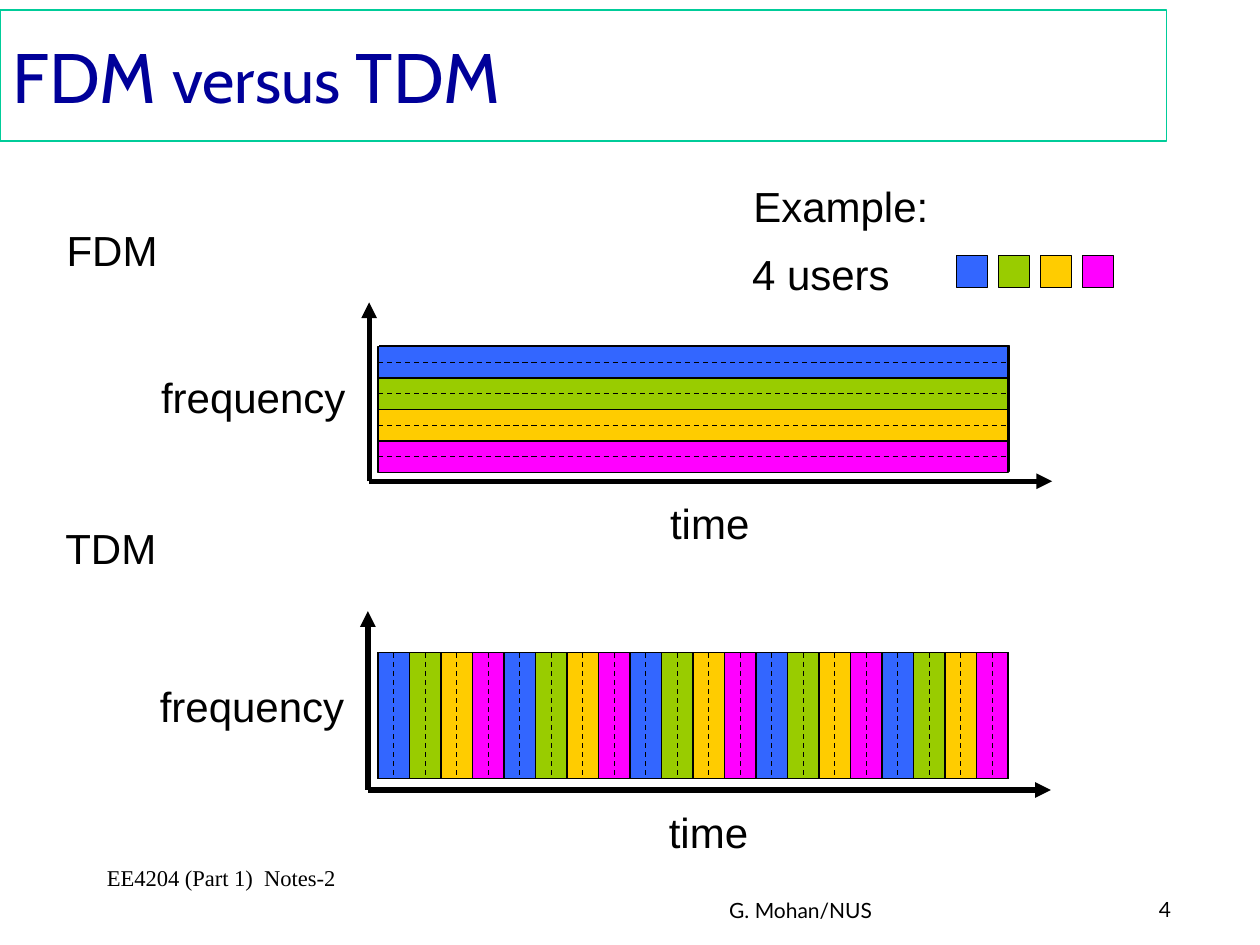
from dataclasses import dataclass

from lxml import etree
from pptx import Presentation
from pptx import util as u
from pptx.dml import color
from pptx.enum import dml, shapes, text
from pptx.oxml import ns


@dataclass(frozen=True)
class Theme:
    ink: str = "000000"
    title: str = "000099"
    frame: str = "00CC99"
    users: tuple = ("3366FF", "99CC00", "FFCC00", "FF00FF")
    title_size: float = 40
    small_title_size: float = 36
    label_size: float = 24
    course_size: float = 12.9
    footer_size: float = 12
    thin: float = 0.75
    thick: float = 3


THEME = Theme()
BAND = 0.25
PLOT_LEFT, PLOT_WIDTH, PLOT_HEIGHT = 3, 5, 1


def rgb(value):
    return color.RGBColor.from_string(value)


def add_title(slide, parts):
    title = slide.shapes.title
    title.left, title.top = u.Inches(0), u.Inches(0.08)
    title.width, title.height = u.Inches(9.26), u.Inches(1.04)
    title.line.color.rgb = rgb(THEME.frame)
    title.line.width = u.Pt(THEME.thin)
    frame = title.text_frame
    frame.vertical_anchor = text.MSO_ANCHOR.MIDDLE
    para = frame.paragraphs[0]
    para.alignment = text.PP_ALIGN.LEFT
    para.font.name = "Cabin"
    para.font.color.rgb = rgb(THEME.title)
    for words, size in parts:
        span = para.add_run()
        span.text = words
        span.font.size = u.Pt(size)


def add_text(slide, words, left, top, width, height, font, size):
    box = slide.shapes.add_textbox(*map(u.Inches, (left, top, width, height)))
    box.text_frame.word_wrap = True
    para = box.text_frame.paragraphs[0]
    para.text = words
    para.font.name = font
    para.font.size = u.Pt(size)
    para.font.color.rgb = rgb(THEME.ink)
    return box


def add_label(slide, words, left, top, width):
    box = add_text(slide, words, left, top, width, 0.5, "Arial", THEME.label_size)
    box.text_frame.word_wrap = False
    box.text_frame.auto_size = text.MSO_AUTO_SIZE.SHAPE_TO_FIT_TEXT


def add_block(slide, left, top, width, height, fill):
    block = slide.shapes.add_shape(
        shapes.MSO_SHAPE.RECTANGLE, *map(u.Inches, (left, top, width, height)))
    block.shadow.inherit = False
    block.fill.solid()
    block.fill.fore_color.rgb = rgb(fill)
    block.line.color.rgb = rgb(THEME.ink)
    block.line.width = u.Pt(THEME.thin)


def add_line(slide, start, end, width=THEME.thin, dashed=False, arrow=False):
    line = slide.shapes.add_connector(
        shapes.MSO_CONNECTOR.STRAIGHT, *map(u.Inches, (*start, *end)))
    line.line.color.rgb = rgb(THEME.ink)
    line.line.width = u.Pt(width)
    if dashed:
        line.line.dash_style = dml.MSO_LINE.DASH
    if arrow:
        outline = line.line._get_or_add_ln()
        etree.SubElement(outline, ns.qn("a:tailEnd"), type="triangle")
    etree.SubElement(line._element.spPr, ns.qn("a:effectLst"))


def add_axes(slide, left, base):
    add_line(slide, (left, base), (left, base - 1.42), THEME.thick, arrow=True)
    add_label(slide, "frequency", left - 1.75, base - 0.92, 1.7)
    add_line(slide, (left, base), (left + 5.42, base), THEME.thick, arrow=True)
    add_label(slide, "time", left + 2.29, base + 0.08, 0.83)


def add_fdm_bands(slide, top):
    right = PLOT_LEFT + PLOT_WIDTH
    for index, fill in enumerate(THEME.users):
        add_block(slide, PLOT_LEFT, top + index * BAND, PLOT_WIDTH, BAND, fill)
    for index in range(len(THEME.users)):
        y = top + index * BAND
        if index:
            add_line(slide, (PLOT_LEFT, y), (right, y))
        middle = y + BAND / 2
        add_line(slide, (PLOT_LEFT, middle), (right, middle), dashed=True)


def add_tdm_slots(slide, top):
    bottom = top + PLOT_HEIGHT
    slots = int(PLOT_WIDTH / BAND)
    for index in range(slots):
        fill = THEME.users[index % len(THEME.users)]
        add_block(slide, PLOT_LEFT + index * BAND, top, BAND, PLOT_HEIGHT, fill)
    for index in range(slots):
        x = PLOT_LEFT + index * BAND
        if index:
            add_line(slide, (x, top), (x, bottom))
        middle = x + BAND / 2
        add_line(slide, (middle, top), (middle, bottom), dashed=True)


def add_legend(slide):
    add_label(slide, "Example:", 5.88, 1.38, 1.59)
    add_label(slide, "4 users", 5.87, 1.92, 1.29)
    for index, fill in enumerate(THEME.users):
        add_block(slide, 7.59 + index / 3, 2.03, BAND, BAND, fill)


def add_footer(slide):
    course = add_text(slide, "EE4204 (Part 1)  Notes-2", 0.75, 6.83, 2.08, 0.5,
                      "Times New Roman", THEME.course_size)
    course.text_frame.paragraphs[0].line_spacing = 0.9
    author = add_text(slide, "G. Mohan/NUS", 3.85, 7.07, 3.17, 0.31,
                      "Lato", THEME.footer_size)
    author.text_frame.paragraphs[0].alignment = text.PP_ALIGN.RIGHT
    add_text(slide, "4", 9.1, 7.07, 0.74, 0.3, "Lato", THEME.footer_size)


def main():
    deck = Presentation()
    deck.slide_width, deck.slide_height = u.Inches(10), u.Inches(7.5)
    slide = deck.slides.add_slide(deck.slide_layouts[5])
    add_title(slide, [("FDM ", THEME.title_size),
                      ("versus", THEME.small_title_size),
                      (" TDM", THEME.title_size)])

    add_label(slide, "FDM", 0.43, 1.73, 0.92)
    add_axes(slide, 2.93, 3.82)
    add_block(slide, 3.01, 2.74, PLOT_WIDTH, PLOT_HEIGHT, THEME.frame)
    add_fdm_bands(slide, 2.75)

    add_label(slide, "TDM", 0.42, 4.1, 0.92)
    add_axes(slide, 2.92, 6.27)
    add_block(slide, PLOT_LEFT, 5.18, PLOT_WIDTH, PLOT_HEIGHT, THEME.frame)
    add_tdm_slots(slide, 5.18)

    add_legend(slide)
    add_footer(slide)
    deck.save("out.pptx")


if __name__ == "__main__":
    main()
